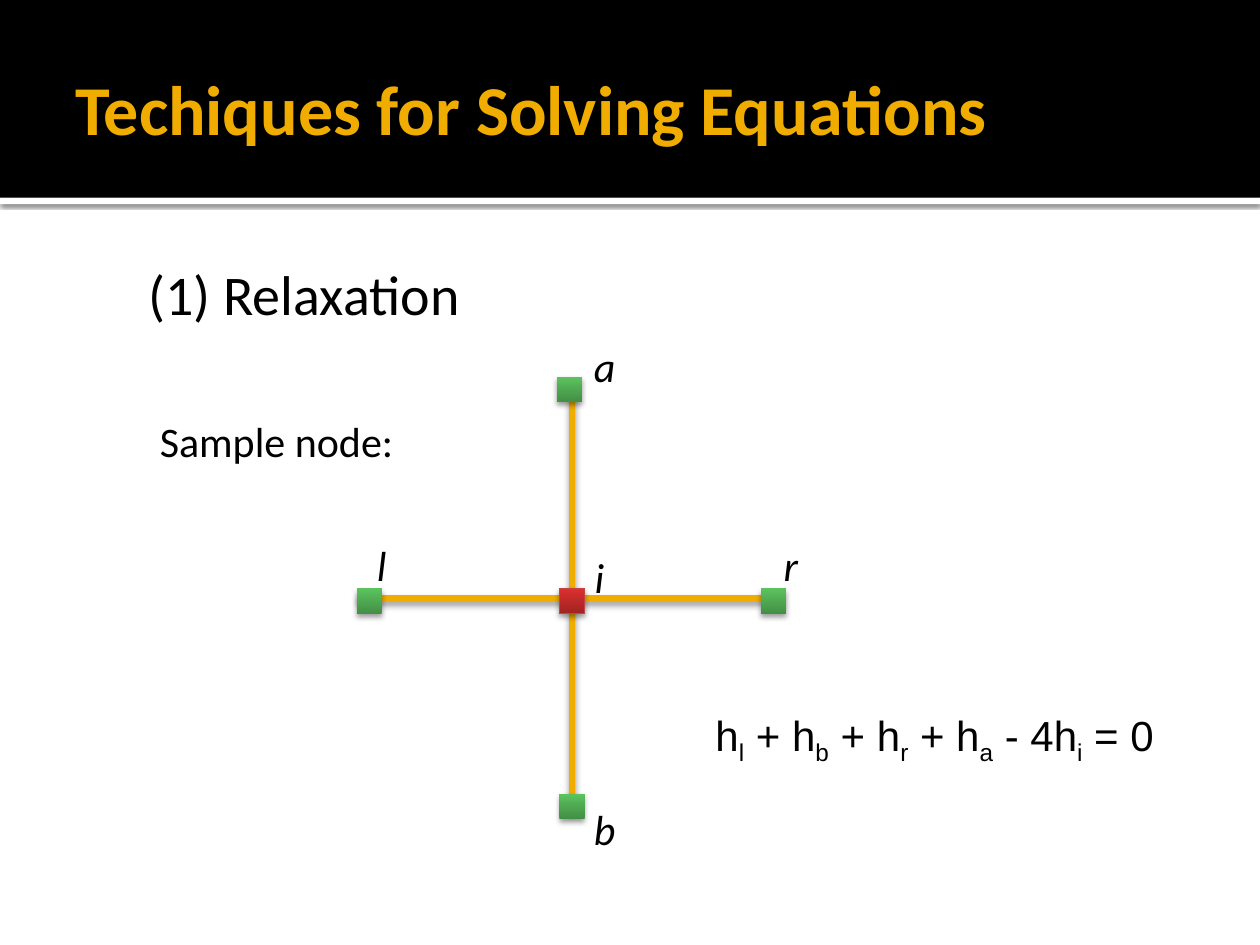
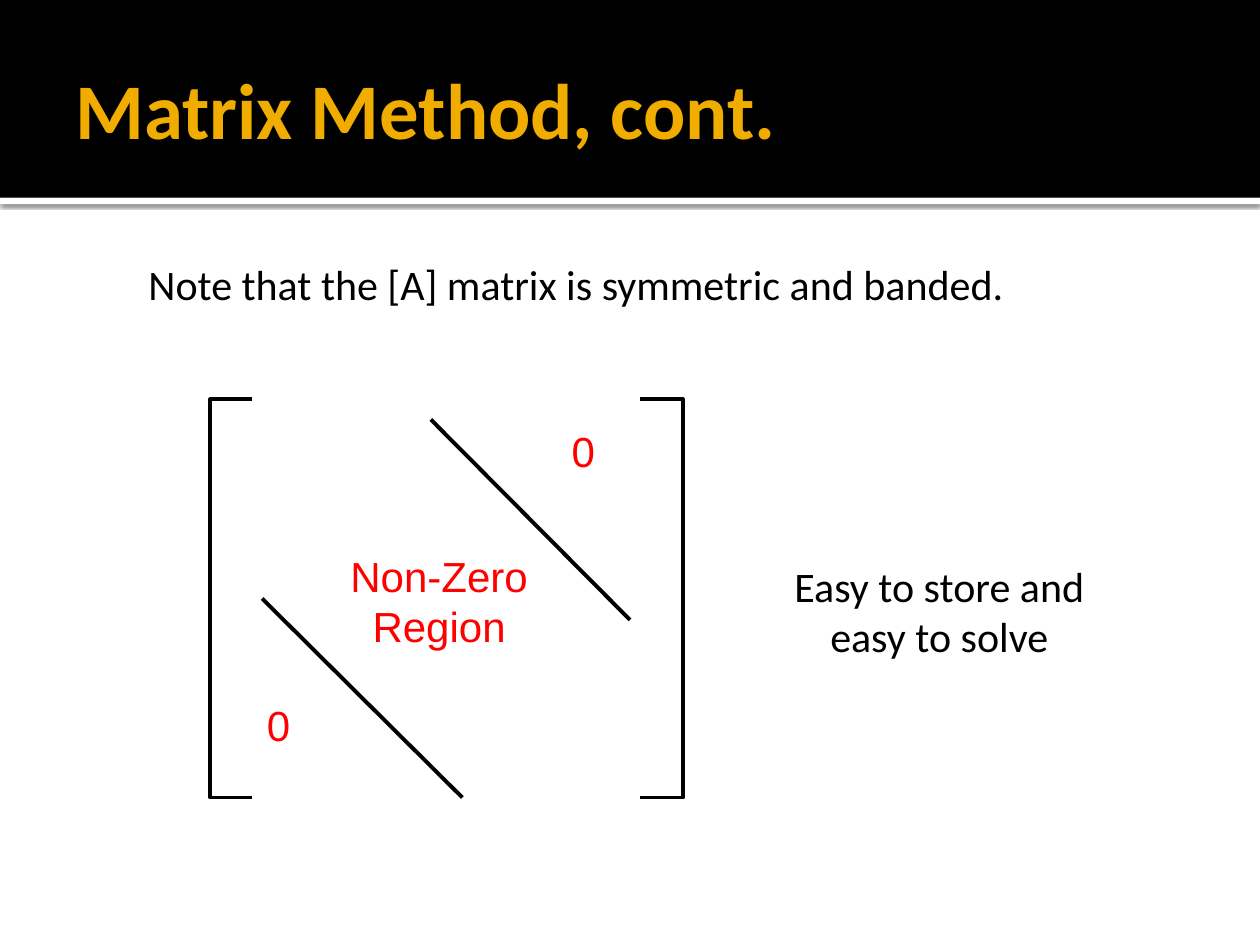
from lxml.etree import SubElement
from pptx import Presentation
from pptx.dml.color import RGBColor
from pptx.enum.shapes import MSO_CONNECTOR, MSO_SHAPE
from pptx.enum.text import MSO_ANCHOR, PP_ALIGN
from pptx.oxml.ns import qn
from pptx.util import Inches, Pt

COLORS = {
    "band": "000000",
    "strip": "FFFFFF",
    "title": "F0AD00",
    "text": "000000",
    "link": "F0AD00",
    "matrix": "FF0000",
    "shadow": "000000",
    "center_edge": "C54342",
}
NEIGHBOR = ("438F45", "5CC35F")
CENTER = ("A02322", "DC302F")
NODE_SIZE = 0.2
FONT = "Calibri"
FORMULA_FONT = "Arial"


def color(name):
    return RGBColor.from_string(COLORS[name])


def add_shadow(shape, opacity, blur, distance):
    """Put a downward shadow on a shape or connector; sizes are in points."""
    properties = shape._element.spPr
    effects = properties.find(qn("a:effectLst"))
    if effects is None:
        effects = SubElement(properties, qn("a:effectLst"))
    shadow = SubElement(effects, qn("a:outerShdw"), blurRad=str(Pt(blur)),
                        dist=str(Pt(distance)), dir="5400000", rotWithShape="0")
    tint = SubElement(shadow, qn("a:srgbClr"), val=COLORS["shadow"])
    SubElement(tint, qn("a:alpha"), val=str(opacity * 1000))


def add_rectangle(page, left, top, width, height):
    shape = page.shapes.add_shape(MSO_SHAPE.RECTANGLE, Inches(left), Inches(top),
                                  Inches(width), Inches(height))
    shape.shadow.inherit = False
    shape.line.fill.background()
    return shape


def add_band(page, top, height, fill):
    band = add_rectangle(page, 0, top, 10, height)
    band.fill.solid()
    band.fill.fore_color.rgb = color(fill)
    return band


def add_text(page, spans, left, top, width, height, size=24, font=FONT, fill="text",
             bold=False, italic=False, align=PP_ALIGN.LEFT, anchor=MSO_ANCHOR.TOP,
             wrap=True, margins=(0.1, 0.05, 0.1, 0.05)):
    """Add one paragraph; spans is a list of (text, is_subscript) or a string."""
    box = page.shapes.add_textbox(Inches(left), Inches(top), Inches(width), Inches(height))
    frame = box.text_frame
    frame.word_wrap = wrap
    frame.vertical_anchor = anchor
    (frame.margin_left, frame.margin_top,
     frame.margin_right, frame.margin_bottom) = map(Inches, margins)
    para = frame.paragraphs[0]
    para.alignment = align
    if isinstance(spans, str):
        spans = [(spans, False)]
    for text, subscript in spans:
        span = para.add_run()
        span.text = text
        span.font.name = font
        span.font.size = Pt(size)
        span.font.bold = bold
        span.font.italic = italic
        span.font.color.rgb = color(fill)
        if subscript:
            span._r.get_or_add_rPr().set("baseline", "-25000")


def add_line(page, start, end, line_color, width):
    line = page.shapes.add_connector(MSO_CONNECTOR.STRAIGHT, *map(Inches, start + end))
    line.line.color.rgb = color(line_color)
    line.line.width = Pt(width)
    SubElement(line._element.spPr, qn("a:effectLst"))
    return line


def add_node(page, left, top, gradient):
    node = add_rectangle(page, left, top, NODE_SIZE, NODE_SIZE)
    node.fill.gradient()
    node.fill.gradient_angle = 90
    for stop, shade in zip(node.fill.gradient_stops, gradient):
        stop.color.rgb = RGBColor.from_string(shade)
    add_shadow(node, 38, 3.1, 2)
    return node


def add_node_label(page, text, left, top, width, align=PP_ALIGN.LEFT):
    add_text(page, text, left, top, width, 0.4, italic=True, align=align,
             wrap=align == PP_ALIGN.CENTER, margins=(0, 0, 0, 0))


def add_bracket(page, spine, tip, top=3.17, bottom=6.33):
    """Draw a square bracket whose ends point from spine towards tip."""
    builder = page.shapes.build_freeform(Inches(tip), Inches(top), scale=1.0)
    corners = [(spine, top), (spine, bottom), (tip, bottom)]
    builder.add_line_segments([(Inches(x), Inches(y)) for x, y in corners], close=False)
    bracket = builder.convert_to_shape()
    bracket.shadow.inherit = False
    bracket.fill.background()
    bracket.line.color.rgb = color("text")
    bracket.line.width = Pt(2.25)


def add_page(deck, title, title_size):
    page = deck.slides.add_slide(deck.slide_layouts[6])
    strip = add_band(page, 1.57, 0.05, "strip")
    add_shadow(strip, 60, 2.5, 0.8)
    add_band(page, 0, 1.57, "band")
    add_text(page, title, 0.5, 0.17, 9, 1.37, size=title_size, fill="title", bold=True,
             anchor=MSO_ANCHOR.MIDDLE, margins=(0.1, 0.05, 0.05, 0.05))
    return page


def build_relaxation(deck):
    page = add_page(deck, "Techiques for Solving Equations", 40)
    add_text(page, "(1) Relaxation", 1.08, 2.01, 2.73, 0.64, size=32,
             anchor=MSO_ANCHOR.MIDDLE, wrap=False)
    add_text(page, "Sample node:", 1.17, 3.25, 2.12, 0.5, wrap=False)

    equation = []
    for term, index in [("h", "l"), (" + h", "b"), (" + h", "r"), (" + h", "a"),
                        (" - 4h", "i")]:
        equation += [(term, False), (index, True)]
    equation.append((" = 0", False))
    add_text(page, equation, 5.58, 5.58, 3.75, 0.5, font=FORMULA_FONT)

    for start, end in [((2.83, 4.75), (6.2, 4.75)), ((4.54, 3.07), (4.54, 6.44))]:
        add_shadow(add_line(page, start, end, "link", 3.78), 38, 3.5, 2)

    add_node_label(page, "i", 4.72, 4.38, 0.08)
    add_node_label(page, "a", 4.66, 2.7, 0.28, PP_ALIGN.CENTER)
    add_node_label(page, "b", 4.66, 6.38, 0.28, PP_ALIGN.CENTER)
    add_node_label(page, "l", 2.99, 4.28, 0.08)
    add_node_label(page, "r", 6.22, 4.28, 0.12)

    center = add_node(page, 4.44, 4.67, CENTER)
    center.line.color.rgb = color("center_edge")
    center.line.width = Pt(0.5)
    for left, top in [(6.04, 4.67), (2.83, 4.67), (4.44, 6.3), (4.42, 2.99)]:
        add_node(page, left, top, NEIGHBOR)


def build_matrix(deck):
    page = add_page(deck, "Matrix Method, cont.", 45)
    add_text(page, "Note that the [A] matrix is symmetric and banded.", 1.08, 2, 7.17, 0.5,
             anchor=MSO_ANCHOR.MIDDLE, wrap=False)

    add_bracket(page, spine=1.67, tip=2)
    add_bracket(page, spine=5.42, tip=5.08)
    for start, end in [((3.42, 3.33), (5, 4.92)), ((2.08, 4.75), (3.67, 6.33))]:
        add_line(page, start, end, "text", 2.25)

    for text, left, top, width, height in [("Non-Zero Region", 2.57, 4.32, 1.83, 0.91),
                                           ("0", 4.42, 3.33, 0.42, 0.5),
                                           ("0", 2, 5.5, 0.42, 0.5)]:
        add_text(page, text, left, top, width, height, font=FORMULA_FONT, fill="matrix",
                 align=PP_ALIGN.CENTER)
    add_text(page, "Easy to store and easy to solve", 6.08, 4.39, 2.75, 0.91,
             align=PP_ALIGN.CENTER, anchor=MSO_ANCHOR.MIDDLE)


def main():
    deck = Presentation()
    deck.slide_width = Inches(10)
    deck.slide_height = Inches(7.5)
    build_relaxation(deck)
    build_matrix(deck)
    deck.save("out.pptx")


if __name__ == "__main__":
    main()
